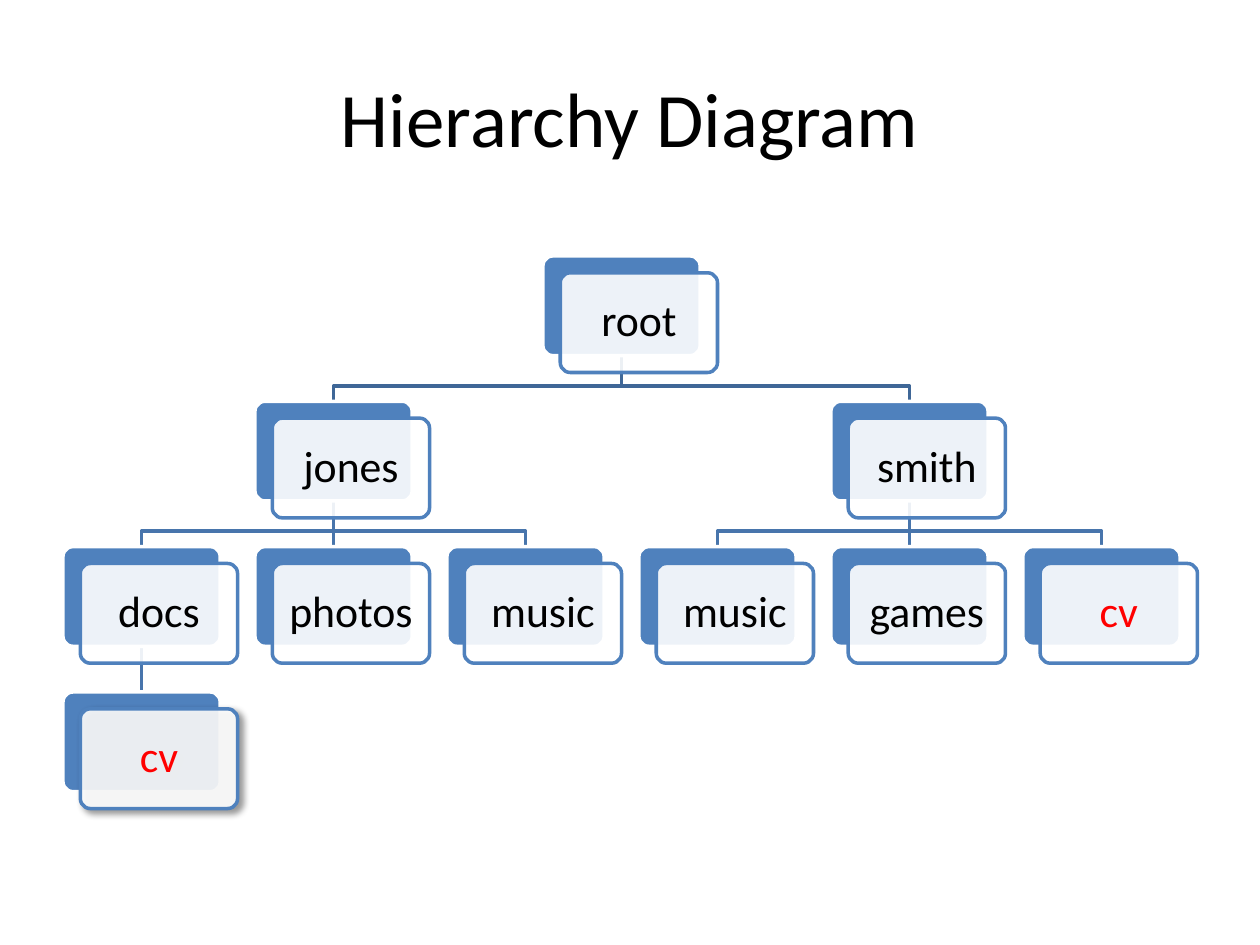
import pptx
import pptx.util
import pptx.dml.color
import pptx.enum.shapes
import pptx.enum.text
import pptx.oxml
import pptx.oxml.ns
from lxml import etree

Cm = pptx.util.Cm
Pt = pptx.util.Pt
Shape = pptx.enum.shapes.MSO_SHAPE

COLORS = {"white": "FFFFFF", "black": "000000", "red": "FF0000",
          "blue": "4F81BD", "link_top": "3F6797", "link": "4875AC"}

# Tree grid, in centimetres
LEFT, TOP = 1.27, 5.16
COL_PITCH, ROW_PITCH = 3.87, 2.93
CARD_W, CARD_H = 3.17, 2.01
SHIFT_X, SHIFT_Y = 0.35, 0.34
BEND = 0.31

# key: (label, column, row, parent key, text colour)
NODES = {
    "root": ("root", 2.5, 0, None, "black"),
    "jones": ("jones", 1, 1, "root", "black"),
    "smith": ("smith", 4, 1, "root", "black"),
    "docs": ("docs", 0, 2, "jones", "black"),
    "photos": ("photos", 1, 2, "jones", "black"),
    "jones_music": ("music", 2, 2, "jones", "black"),
    "smith_music": ("music", 3, 2, "smith", "black"),
    "games": ("games", 4, 2, "smith", "black"),
    "smith_cv": ("cv", 5, 2, "smith", "red"),
    "docs_cv": ("cv", 0, 3, "docs", "red"),
}
RAISED = "docs_cv"


def rgb(name):
    """Return the named colour."""
    return pptx.dml.color.RGBColor.from_string(COLORS[name])


def sub(parent, tag, **attrs):
    """Append a DrawingML element and return it."""
    return etree.SubElement(parent, pptx.oxml.ns.qn("a:" + tag), attrs)


class Canvas:
    """Holds the style and the current slide."""

    font = "Calibri"
    line_width = Pt(2)

    def __init__(self, slide):
        self.shapes = slide.shapes

    def text(self, sp, text, size, color, inset):
        """Write one centred paragraph into a shape."""
        tf = sp.text_frame
        tf.word_wrap = True
        tf.vertical_anchor = pptx.enum.text.MSO_ANCHOR.MIDDLE
        tf.margin_left = tf.margin_right = Cm(inset)
        tf.margin_top = tf.margin_bottom = Cm(inset)
        p = tf.paragraphs[0]
        p.text = text
        p.alignment = pptx.enum.text.PP_ALIGN.CENTER
        p.font.name, p.font.size = self.font, Pt(size)
        p.font.color.rgb = rgb(color)
        return p

    def title(self, text):
        """Add the slide title."""
        sp = self.shapes.add_textbox(Cm(1.27), Cm(0.76), Cm(22.86), Cm(3.18))
        self.text(sp, text, 44, "black", 0.2)

    def stroke(self, sp, color):
        """Set the outline of a shape or line."""
        sp.line.color.rgb = rgb(color)
        sp.line.width = self.line_width

    def card(self, x, y, fill, line):
        """Add a rounded card."""
        sp = self.shapes.add_shape(Shape.ROUNDED_RECTANGLE, Cm(x), Cm(y),
                                   Cm(CARD_W), Cm(CARD_H))
        sp.adjustments[0] = 0.1
        sp.shadow.inherit = False
        sp.fill.solid()
        sp.fill.fore_color.rgb = rgb(fill)
        self.stroke(sp, line)
        return sp

    def node(self, x, y, label, color, raised):
        """Add a back card and a translucent front card with a label."""
        self.card(x, y, "blue", "white")
        sp = self.card(x + SHIFT_X, y + SHIFT_Y, "white", "blue")
        sub(sp._element.spPr.find(".//" + pptx.oxml.ns.qn("a:srgbClr")),
            "alpha", val="90000")
        if raised:
            effects = sp._element.spPr.find(pptx.oxml.ns.qn("a:effectLst"))
            shadow = sub(effects, "outerShdw", blurRad=str(Pt(4)),
                         dist=str(Pt(3)), dir="2700000", algn="tl")
            sub(sub(shadow, "srgbClr", val=COLORS["black"]),
                "alpha", val="43000")
        self.text(sp, label, 25, color, 0.25).line_spacing = 0.9

    def link(self, x1, y1, x2, y2, color):
        """Join a parent to a child, bending where they are not aligned."""
        if x1 == x2:
            sp = self.shapes.add_connector(
                pptx.enum.shapes.MSO_CONNECTOR.STRAIGHT,
                Cm(x1), Cm(y1), Cm(x2), Cm(y2))
            sub(sp._element.spPr, "effectLst")
        else:
            bend = y2 - BEND
            path = self.shapes.build_freeform(Cm(x1), Cm(y1))
            path.add_line_segments([(Cm(x1), Cm(bend)), (Cm(x2), Cm(bend)),
                                    (Cm(x2), Cm(y2))], close=False)
            sp = path.convert_to_shape()
            sp.fill.background()
            sp.shadow.inherit = False
        self.stroke(sp, color)


def corner(key):
    """Return the top left corner of a node's back card."""
    _, col, row, _, _ = NODES[key]
    return LEFT + col * COL_PITCH, TOP + row * ROW_PITCH


def main():
    """Build the slide."""
    prs = pptx.Presentation()
    prs.slide_width, prs.slide_height = Cm(25.4), Cm(19.05)
    canvas = Canvas(prs.slides.add_slide(prs.slide_layouts[6]))
    canvas.title("Hierarchy Diagram")
    for key, (_, _, _, parent, _) in NODES.items():
        if parent:
            (px, py), (x, y) = corner(parent), corner(key)
            canvas.link(px + CARD_W / 2, py + CARD_H, x + CARD_W / 2, y,
                        "link_top" if parent == "root" else "link")
    for key, (label, _, _, _, color) in NODES.items():
        canvas.node(*corner(key), label, color, key == RAISED)
    prs.save("out.pptx")


main()
